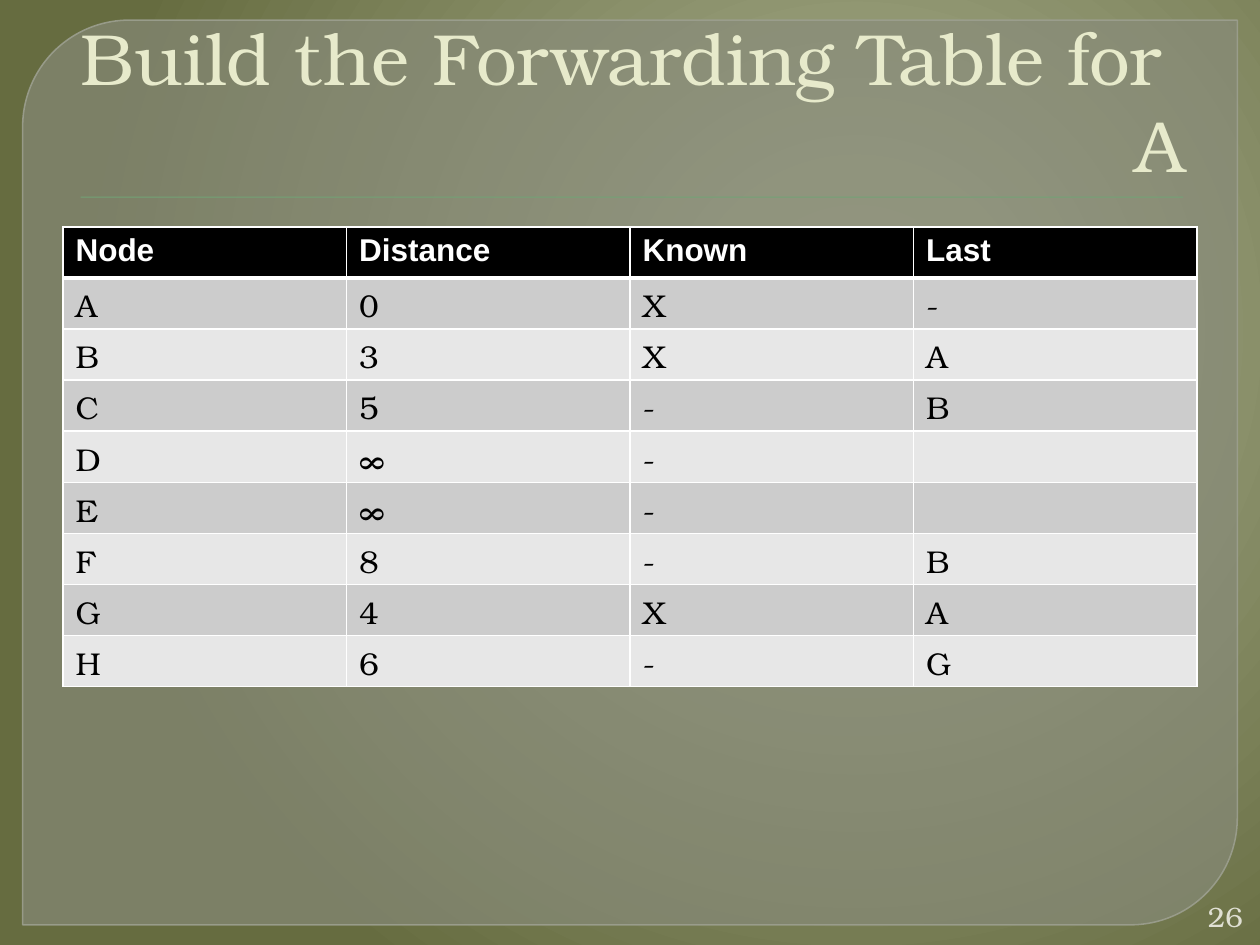
from lxml import etree
from pptx import Presentation
from pptx.dml.color import RGBColor
from pptx.enum.shapes import MSO_SHAPE
from pptx.enum.text import MSO_ANCHOR, PP_ALIGN
from pptx.oxml import parse_xml
from pptx.oxml.ns import nsdecls, qn
from pptx.util import Inches, Pt

PANEL_SHAPE = MSO_SHAPE.ROUND_2_DIAG_RECTANGLE
RULE_SHAPE = MSO_SHAPE.RECTANGLE
RIGHT = PP_ALIGN.RIGHT
BOTTOM, MIDDLE = MSO_ANCHOR.BOTTOM, MSO_ANCHOR.MIDDLE

COLORS = {
    "glow": "A9AE8D", "olive": "9FA583", "edge": "666C40",
    "panel": "888B7B", "panel_line": "9DA090", "rule": "72A376",
    "title": "E7EACB", "number": "E0E0D4", "white": "FFFFFF",
    "black": "000000", "odd": "CCCCCC", "even": "E7E7E7",
}
SERIF = "TeX Gyre Bonum"
TITLE_FORMAT = {"name": SERIF, "size": Pt(41.4), "color": "title"}
NUMBER_FORMAT = {"name": SERIF, "size": Pt(16), "color": "number"}
HEADER_FORMAT = {"name": "Arial", "size": Pt(18), "bold": True, "color": "white"}
BODY_FORMAT = {"name": SERIF, "size": Pt(18), "bold": False, "color": "black"}

ROWS = [
    ("Node", "Distance", "Known", "Last"),
    ("A", "0", "X", "-"),
    ("B", "3", "X", "A"),
    ("C", "5", "-", "B"),
    ("D", "∞", "-", ""),
    ("E", "∞", "-", ""),
    ("F", "8", "-", "B"),
    ("G", "4", "X", "A"),
    ("H", "6", "-", "G"),
]


def rgb(name):
    return RGBColor.from_string(COLORS[name])


def format_font(font, values):
    for key, value in values.items():
        if key == "color":
            font.color.rgb = rgb(value)
        else:
            setattr(font, key, value)


def set_background(page):
    """Radial gradient, brightest right of centre."""
    page.background.fill.solid()
    stops = "".join(
        f'<a:gs pos="{place * 1000}"><a:srgbClr val="{COLORS[name]}"/></a:gs>'
        for place, name in ((0, "glow"), (20, "olive"), (100, "edge")))
    gradient = parse_xml(
        f'<a:gradFill {nsdecls("a")} rotWithShape="1"><a:gsLst>{stops}</a:gsLst>'
        '<a:path path="circle"><a:fillToRect l="68000" t="35000" r="32000" b="65000"/>'
        '</a:path></a:gradFill>')
    solid = next(page.background._cSld.iter(qn("a:solidFill")))
    solid.getparent().replace(solid, gradient)


def add_shape(page, kind, place, color):
    shape = page.shapes.add_shape(kind, *map(Inches, place))
    shape.shadow.inherit = False
    shape.fill.solid()
    shape.fill.fore_color.rgb = rgb(color)
    shape.line.fill.background()
    return shape


def add_panel(page):
    panel = add_shape(page, PANEL_SHAPE, (0.18, 0.16, 9.64, 7.18), "panel")
    panel.adjustments[0] = 0.118
    panel.adjustments[1] = 0
    panel.line.color.rgb = rgb("panel_line")
    panel.line.width = Pt(0.87)
    # Opacity of fill, then line
    for color, percent in zip(panel._element.spPr.iter(qn("a:srgbClr")), (65, 88)):
        etree.SubElement(color, qn("a:alpha"), val=str(percent * 1000))


def add_rule(page):
    rule = add_shape(page, RULE_SHAPE, (0.64, 1.56, 8.75, 0.01), "rule")
    effects = rule._element.spPr.find(qn("a:effectLst"))
    effects.append(parse_xml(
        f'<a:outerShdw {nsdecls("a")} blurRad="12700" dist="12700" dir="5400000">'
        f'<a:srgbClr val="{COLORS["black"]}"><a:alpha val="75000"/></a:srgbClr>'
        '</a:outerShdw>'))


def add_text(page, text, place, anchor, values):
    box = page.shapes.add_textbox(*map(Inches, place))
    frame = box.text_frame
    frame.word_wrap = True
    frame.vertical_anchor = anchor
    para = frame.paragraphs[0]
    para.alignment = RIGHT
    span = para.add_run()
    span.text = text
    format_font(span.font, values)


def set_borders(cell, top, bottom):
    widths = {"lnL": 1, "lnR": 1, "lnT": top, "lnB": bottom}
    properties = cell._tc.get_or_add_tcPr()
    for index, (side, width) in enumerate(widths.items()):
        properties.insert(index, parse_xml(
            f'<a:{side} {nsdecls("a")} w="{Pt(width)}"><a:solidFill>'
            f'<a:srgbClr val="{COLORS["white"]}"/></a:solidFill></a:{side}>'))


def add_forwarding_table(page):
    place = map(Inches, (0.5, 1.8, 9, 3.65))
    table = page.shapes.add_table(len(ROWS), len(ROWS[0]), *place).table
    for row_index, row in enumerate(ROWS):
        is_header = row_index == 0
        fill = "black" if is_header else ("even", "odd")[row_index % 2]
        values = HEADER_FORMAT if is_header else BODY_FORMAT
        for column_index, text in enumerate(row):
            cell = table.cell(row_index, column_index)
            cell.text = text
            para = cell.text_frame.paragraphs[0]
            for target in para.runs or [para]:
                format_font(target.font, values)
            cell.fill.solid()
            cell.fill.fore_color.rgb = rgb(fill)
            # Thick line under the header
            set_borders(cell, 3 if row_index == 1 else 1, 3 if is_header else 1)


def main():
    deck = Presentation()
    deck.slide_width, deck.slide_height = Inches(10), Inches(7.5)
    page = deck.slides.add_slide(deck.slide_layouts[6])

    # Backdrop
    set_background(page)
    add_panel(page)
    add_rule(page)

    # Content
    add_text(page, "Build the Forwarding Table for  A", (0.5, 0.28, 9, 1.25),
             BOTTOM, TITLE_FORMAT)
    add_forwarding_table(page)
    add_text(page, "26", (9.45, 7.12, 0.51, 0.3), MIDDLE, NUMBER_FORMAT)

    deck.save("out.pptx")


main()
